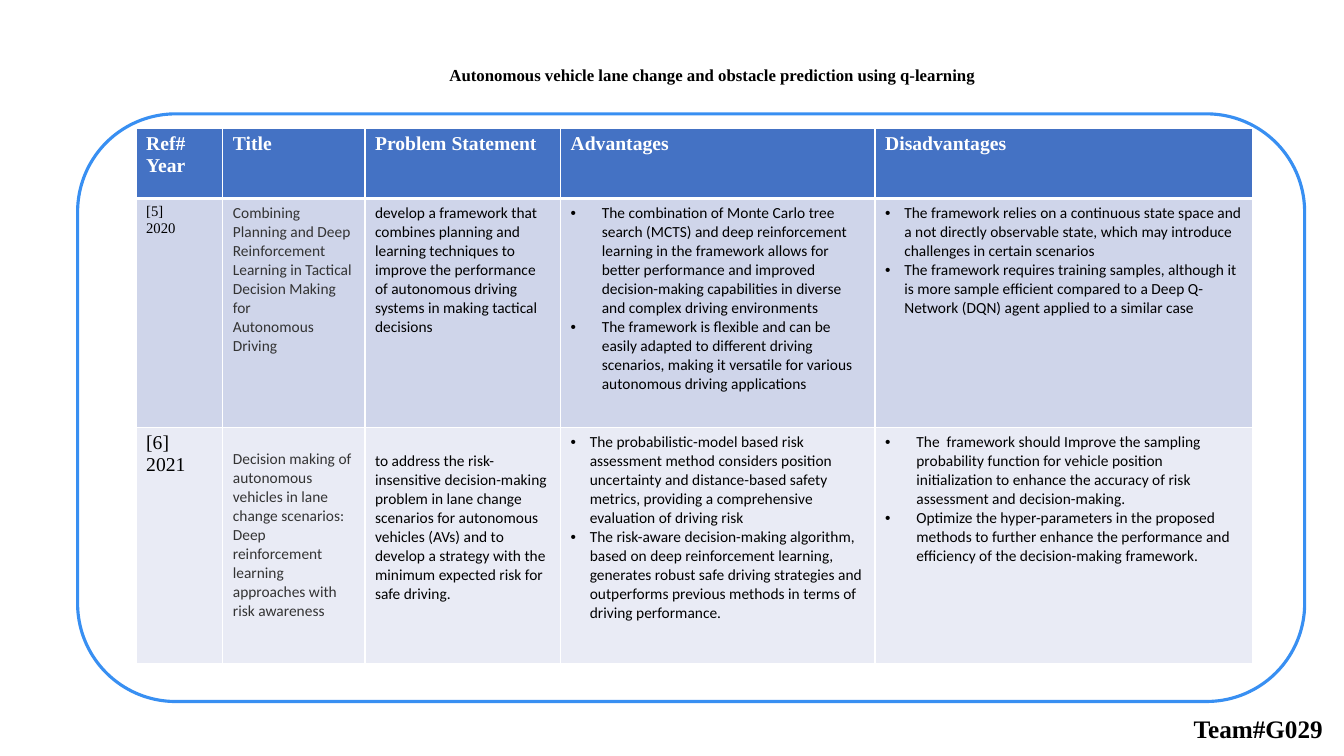
"""Build a literature review slide with a framed comparison table."""
from dataclasses import dataclass

from lxml import etree
from pptx import Presentation
from pptx import util as u
from pptx.dml.color import RGBColor
from pptx.enum import shapes
from pptx.oxml import ns

SERIF = "Times New Roman"
SANS = "Calibri"
COLUMN_WIDTHS = (0.86, 1.41, 1.94, 3.12, 3.74)
ROW_HEIGHTS = (0.7, 2.27, 2.34)
ROW_FILLS = ("4472C4", "CFD5EA", "E9EBF5")


@dataclass(frozen=True)
class Style:
    size: float
    font: str = SANS
    color: str = "000000"
    bold: bool = False


@dataclass(frozen=True)
class Entry:
    paragraphs: tuple[str, ...]
    style: Style
    indent: float = 0
    top: float = 0.05


@dataclass(frozen=True)
class Label:
    text: str
    left: float
    top: float
    width: float
    height: float
    style: Style


HEADER = Style(14, SERIF, "FFFFFF", True)
BODY = Style(11)
PAPER = Style(11, color="333333")

LABELS = (
    Label("Team#G029", 11.74, 7.03, 2.2, 0.4, Style(18, SERIF, bold=True)),
    Label("Autonomous vehicle lane change and obstacle prediction using q-learning",
          4.36, 0.59, 5.63, 0.5, Style(12, SERIF, bold=True)),
)

HEADINGS = ("Ref#\nYear", "Title", "Problem Statement", "Advantages", "Disadvantages")

ROWS = (
    tuple(Entry((heading,), HEADER) for heading in HEADINGS),
    (
        Entry(("[5]", "2020"), Style(10.5, SERIF)),
        Entry(("Combining Planning and Deep Reinforcement\n"
               "Learning in Tactical Decision Making for\nAutonomous Driving",), PAPER),
        Entry(("develop a framework that combines planning and learning techniques to "
               "improve the performance of autonomous driving systems in making tactical "
               "decisions",), BODY),
        Entry(("The combination of Monte Carlo tree search (MCTS) and deep reinforcement "
               "learning in the framework allows for better performance and improved "
               "decision-making capabilities in diverse and complex driving environments",
               "The framework is flexible and can be easily adapted to different driving "
               "scenarios, making it versatile for various autonomous driving applications"),
              BODY, indent=0.31),
        Entry(("The framework relies on a continuous state space and a not directly "
               "observable state, which may introduce challenges in certain scenarios",
               "The framework requires training samples, although it is more sample "
               "efficient compared to a Deep Q-Network (DQN) agent applied to a similar case"),
              BODY, indent=0.19),
    ),
    (
        Entry(("[6]", "2021"), Style(14, SERIF)),
        Entry(("Decision making of autonomous vehicles in lane change scenarios:\n"
               "Deep reinforcement learning approaches with risk awareness",),
              PAPER, top=0.22),
        Entry(("to address the risk-insensitive decision-making problem in lane change "
               "scenarios for autonomous vehicles (AVs) and to develop a strategy with the "
               "minimum expected risk for safe driving.",), BODY, top=0.24),
        Entry(("The probabilistic-model based risk assessment method considers position "
               "uncertainty and distance-based safety metrics, providing a comprehensive "
               "evaluation of driving risk",
               "The risk-aware decision-making algorithm, based on deep reinforcement "
               "learning, generates robust safe driving strategies and outperforms previous "
               "methods in terms of driving performance."), BODY, indent=0.19),
        Entry(("The  framework should Improve the sampling probability function for vehicle "
               "position initialization to enhance the accuracy of risk assessment and "
               "decision-making.",
               "Optimize the hyper-parameters in the proposed methods to further enhance "
               "the performance and efficiency of the decision-making framework."),
              BODY, indent=0.31),
    ),
)


def color(value: str) -> RGBColor:
    """Turn a hex string into a colour."""
    return RGBColor.from_string(value)


def format_runs(para, style: Style) -> None:
    """Apply a text style to every run of a paragraph."""
    for span in para.runs:
        span.font.size = u.Pt(style.size)
        span.font.name = style.font
        span.font.bold = style.bold
        span.font.color.rgb = color(style.color)


def add_bullet(para, indent: float) -> None:
    """Give a paragraph a hanging round bullet."""
    properties = para._p.get_or_add_pPr()
    properties.set("marL", str(u.Inches(indent)))
    properties.set("indent", str(u.Inches(-indent)))
    etree.SubElement(properties, ns.qn("a:buFont"), typeface="Arial")
    etree.SubElement(properties, ns.qn("a:buChar"), char="•")


def add_borders(cell, top: float, bottom: float) -> None:
    """Draw white borders around a cell, with widths in points."""
    properties = cell._tc.get_or_add_tcPr()
    widths = {"a:lnL": 1, "a:lnR": 1, "a:lnT": top, "a:lnB": bottom}
    for index, (tag, width) in enumerate(widths.items()):
        line = etree.Element(ns.qn(tag), w=str(u.Pt(width)))
        fill = etree.SubElement(line, ns.qn("a:solidFill"))
        etree.SubElement(fill, ns.qn("a:srgbClr"), val="FFFFFF")
        properties.insert(index, line)


def fill_cell(cell, entry: Entry, fill: str) -> None:
    """Write one entry into a table cell."""
    cell.fill.solid()
    cell.fill.fore_color.rgb = color(fill)
    cell.margin_top = u.Inches(entry.top)
    frame = cell.text_frame
    for index, wording in enumerate(entry.paragraphs):
        para = frame.add_paragraph() if index else frame.paragraphs[0]
        para.text = wording
        format_runs(para, entry.style)
        if entry.indent:
            add_bullet(para, entry.indent)


def add_frame(page) -> None:
    """Draw the rounded outline around the table."""
    box = page.shapes.add_shape(
        shapes.MSO_SHAPE.ROUNDED_RECTANGLE,
        u.Inches(0.77), u.Inches(1.13), u.Inches(12.17), u.Inches(5.83))
    box.shadow.inherit = False
    box.fill.background()
    box.line.color.rgb = color("388FF2")
    box.line.width = u.Pt(2.25)


def add_label(page, label: Label) -> None:
    """Place a line of text on the page."""
    box = page.shapes.add_textbox(
        u.Inches(label.left), u.Inches(label.top),
        u.Inches(label.width), u.Inches(label.height))
    box.text_frame.word_wrap = True
    box.text_frame.text = label.text
    format_runs(box.text_frame.paragraphs[0], label.style)


def add_review_table(page) -> None:
    """Add the comparison of the reviewed papers."""
    table = page.shapes.add_table(
        len(ROWS), len(HEADINGS), u.Inches(1.35), u.Inches(1.27),
        u.Inches(sum(COLUMN_WIDTHS)), u.Inches(sum(ROW_HEIGHTS))).table
    for column, width in zip(table.columns, COLUMN_WIDTHS):
        column.width = u.Inches(width)
    for row, height in zip(table.rows, ROW_HEIGHTS):
        row.height = u.Inches(height)
    for row, (entries, fill) in enumerate(zip(ROWS, ROW_FILLS)):
        for column, entry in enumerate(entries):
            cell = table.cell(row, column)
            fill_cell(cell, entry, fill)
            add_borders(cell, top=3 if row == 1 else 1, bottom=3 if row == 0 else 1)


def main() -> None:
    """Assemble and save the deck."""
    deck = Presentation()
    deck.slide_width, deck.slide_height = u.Inches(13.33), u.Inches(7.5)
    page = deck.slides.add_slide(deck.slide_layouts[6])
    add_frame(page)
    for label in LABELS:
        add_label(page, label)
    add_review_table(page)
    deck.save("out.pptx")


if __name__ == "__main__":
    main()
